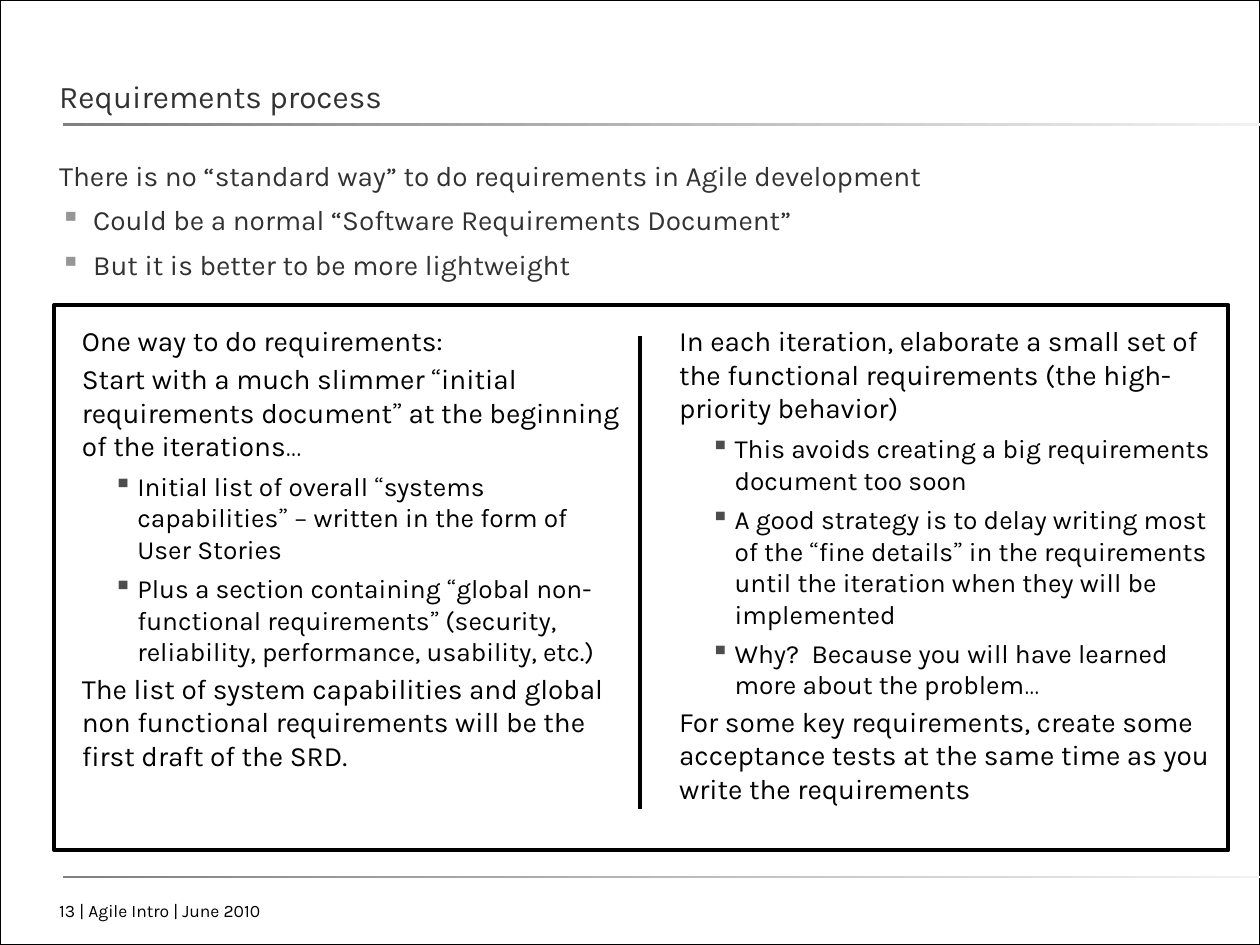
from itertools import groupby

from lxml.etree import SubElement
from pptx import Presentation
from pptx.dml.color import RGBColor
from pptx.enum.shapes import MSO_CONNECTOR, MSO_SHAPE
from pptx.enum.text import MSO_ANCHOR, MSO_AUTO_SIZE, PP_ALIGN
from pptx.oxml.ns import qn
from pptx.util import Inches, Pt

BLACK = RGBColor(0x00, 0x00, 0x00)
WHITE = RGBColor(0xFF, 0xFF, 0xFF)
CHARCOAL = RGBColor(0x32, 0x32, 0x32)
DARK_GRAY = RGBColor(0x4D, 0x4D, 0x4D)
RULE_GRAY = RGBColor(0x80, 0x80, 0x80)
BULLET_GRAY = RGBColor(0x96, 0x96, 0x96)
PALE_GRAY = RGBColor(0xF1, 0xF1, 0xF1)
TEXT_FONT, SYMBOL_FONT = "Karla", "Quicksand"
SYMBOLS = "“”…–"

# Content: (level, text), where level 1 is bulleted
TITLE = "Requirements process"
FOOTER = "13 | Agile Intro | June 2010"
INTRO = [
    (0, "There is no “standard way” to do requirements in Agile development"),
    (1, "Could be a normal “Software Requirements Document”"),
    (1, "But it is better to be more lightweight"),
]
COLUMNS = [
    [
        (0, "One way to do requirements:"),
        (0, "Start with a much slimmer “initial requirements document” at the "
            "beginning of the iterations…"),
        (1, "Initial list of overall “systems capabilities” – written in the "
            "form of User Stories"),
        (1, "Plus a section containing “global non-functional requirements” "
            "(security, reliability, performance, usability, etc.)"),
        (0, "The list of system capabilities and global non functional "
            "requirements will be the first draft of the SRD."),
    ],
    [
        (0, "In each iteration, elaborate a small set of the functional "
            "requirements (the high-priority behavior)"),
        (1, "This avoids creating a big requirements document too soon"),
        (1, "A good strategy is to delay writing most of the “fine details” in "
            "the requirements until the iteration when they will be implemented"),
        (1, "Why?  Because you will have learned more about the problem…"),
        (0, "For some key requirements, create some acceptance tests at the "
            "same time as you write the requirements"),
    ],
]

# Paragraph formats by level
INTRO_STYLES = [
    dict(size=16, color=CHARCOAL, left=0.18, line=0.9, after=4),
    dict(size=16, color=CHARCOAL, left=0.45, hanging=0.26, line=0.95,
         before=3.2, after=4, bullet=BULLET_GRAY),
]
COLUMN_STYLES = [
    dict(size=16, before=2.4, symbol_font=SYMBOL_FONT),
    dict(size=15, before=4.5, left=0.44, hanging=0.19, bullet=DARK_GRAY,
         symbol_font=SYMBOL_FONT),
]

# Geometry in inches
WIDTH, HEIGHT = 10, 7.5
MARGIN = 0.47
RULE_LEFT, RULE_TOPS = 0.5, (0.98, 6.95)
PANEL = (0.43, 2.42, 9.32, 4.33)
COLUMN_LEFT, COLUMN_TOP, COLUMN_WIDTH, COLUMN_STEP = 0.53, 2.45, 4.54, 4.74


def write(paragraph, text, size=16, color=BLACK, left=0, hanging=0, line=None,
          before=0, after=0, bullet=None, symbol_font=TEXT_FONT):
    """Fill a paragraph, setting typographic symbols in their own font."""
    paragraph.alignment = PP_ALIGN.LEFT
    paragraph.line_spacing = line
    paragraph.space_before, paragraph.space_after = Pt(before), Pt(after)
    properties = paragraph._p.get_or_add_pPr()
    properties.set("marL", str(Inches(left)))
    properties.set("indent", str(-Inches(hanging)))
    if bullet is not None:
        bullet_color = SubElement(properties, qn("a:buClr"))
        SubElement(bullet_color, qn("a:srgbClr")).set("val", str(bullet))
        SubElement(properties, qn("a:buChar")).set("char", "▪")
    for is_symbol, characters in groupby(text, lambda character: character in SYMBOLS):
        run = paragraph.add_run()
        run.text = "".join(characters)
        run.font.name = symbol_font if is_symbol else TEXT_FONT
        run.font.size = Pt(size)
        run.font.color.rgb = color


def place(shape, box):
    shape.left, shape.top, shape.width, shape.height = map(Inches, box)


def set_frame(frame, insets=(0, 0, 0, 0), anchor=MSO_ANCHOR.TOP):
    frame.word_wrap = True
    frame.auto_size = MSO_AUTO_SIZE.NONE
    frame.vertical_anchor = anchor
    (frame.margin_left, frame.margin_top,
     frame.margin_right, frame.margin_bottom) = map(Inches, insets)


def add_text(slide, box, items, styles, insets=(0, 0, 0, 0)):
    frame = slide.shapes.add_textbox(*map(Inches, box)).text_frame
    set_frame(frame, insets)
    for index, (level, text) in enumerate(items):
        paragraph = frame.add_paragraph() if index else frame.paragraphs[0]
        paragraph.level = level
        write(paragraph, text, **styles[level])


def add_rectangle(slide, box, line_width=None):
    """Add an outlined frame, or a fading bar if there is no line width."""
    shape = slide.shapes.add_shape(MSO_SHAPE.RECTANGLE, *map(Inches, box))
    shape.shadow.inherit = False
    if line_width:
        shape.fill.background()
        shape.line.color.rgb = BLACK
        shape.line.width = Pt(line_width)
    else:
        shape.line.fill.background()
        shape.fill.gradient()
        shape.fill.gradient_angle = 0
        for stop, color in zip(shape.fill.gradient_stops, (RULE_GRAY, PALE_GRAY)):
            stop.color.rgb = color


def main():
    presentation = Presentation()
    presentation.slide_width, presentation.slide_height = Inches(WIDTH), Inches(HEIGHT)
    slide = presentation.slides.add_slide(presentation.slide_layouts[5])
    slide.background.fill.solid()
    slide.background.fill.fore_color.rgb = WHITE

    # Page border and fading rules
    add_rectangle(slide, (0, 0, WIDTH, HEIGHT), line_width=1)
    for top in RULE_TOPS:
        add_rectangle(slide, (RULE_LEFT, top, WIDTH - RULE_LEFT, 0.02))

    # Title and footer
    title = slide.shapes.title
    place(title, (MARGIN, 0.08, 9.03, 0.83))
    set_frame(title.text_frame, anchor=MSO_ANCHOR.BOTTOM)
    write(title.text_frame.paragraphs[0], TITLE, size=18, color=CHARCOAL, line=Pt(26))
    add_text(slide, (MARGIN, 7.09, 4.24, 0.23), [(0, FOOTER)], [dict(size=10)],
             insets=(0, 0.05, 0.1, 0.05))

    # Introduction
    add_text(slide, (0.29, 1.29, 9.4, 1.1), INTRO, INTRO_STYLES)

    # Framed panel with two columns
    add_rectangle(slide, PANEL, line_width=2.25)
    for index, items in enumerate(COLUMNS):
        box = (COLUMN_LEFT + index * COLUMN_STEP, COLUMN_TOP, COLUMN_WIDTH, 4.14)
        add_text(slide, box, items, COLUMN_STYLES, insets=[0.12] * 4)

    # Column divider
    divider = slide.shapes.add_connector(
        MSO_CONNECTOR.STRAIGHT, *map(Inches, (5.08, 2.67, 5.08, 6.42)))
    divider.line.color.rgb = BLACK
    divider.line.width = Pt(2.25)
    SubElement(divider._element.spPr, qn("a:effectLst"))

    presentation.save("out.pptx")


if __name__ == "__main__":
    main()
